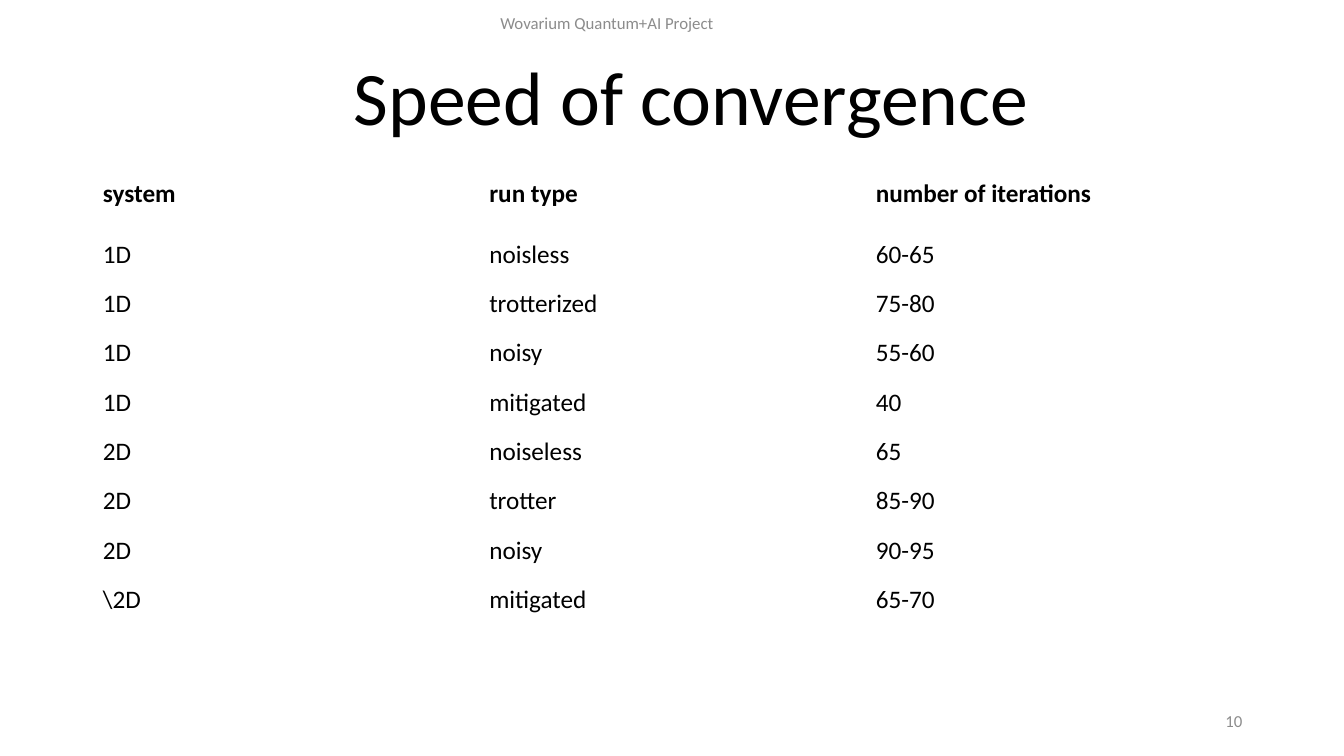
from dataclasses import dataclass

from pptx import Presentation
from pptx.dml.color import RGBColor
from pptx.enum.text import MSO_ANCHOR, PP_ALIGN
from pptx.util import Inches, Pt


@dataclass(frozen=True)
class Theme:
    font: str = "Calibri"
    ink: RGBColor = RGBColor(0x00, 0x00, 0x00)
    muted: RGBColor = RGBColor(0x8C, 0x8C, 0x8C)
    paper: RGBColor = RGBColor(0xFF, 0xFF, 0xFF)
    title_size: int = 54
    table_size: int = 18
    small_size: int = 12


theme = Theme()


def add_run(paragraph, text, size, color, bold=False):
    run = paragraph.add_run()
    run.text = text
    run.font.name = theme.font
    run.font.size = Pt(size)
    run.font.color.rgb = color
    run.font.bold = bold


presentation = Presentation()
presentation.slide_width = Inches(13.33)
presentation.slide_height = Inches(7.5)
slide = presentation.slides.add_slide(presentation.slide_layouts[5])

# Title
title = slide.shapes.title
title.left, title.top = Inches(0.95), Inches(0.52)
title.width, title.height = Inches(11.81), Inches(0.94)
title.text_frame.vertical_anchor = MSO_ANCHOR.BOTTOM
paragraph = title.text_frame.paragraphs[0]
paragraph.alignment = PP_ALIGN.CENTER
paragraph.line_spacing = 0.9
add_run(paragraph, "Speed of convergence", theme.title_size, theme.ink)

# Running header and page number
small_texts = [
    ("Wovarium Quantum+AI Project", 3.77, 0.03, 4.5, PP_ALIGN.CENTER),
    ("10", 9.42, 6.95, 3, PP_ALIGN.RIGHT),
]
for text, left, top, width, alignment in small_texts:
    text_box = slide.shapes.add_textbox(
        Inches(left), Inches(top), Inches(width), Inches(0.4))
    text_box.text_frame.word_wrap = True
    text_box.text_frame.vertical_anchor = MSO_ANCHOR.MIDDLE
    paragraph = text_box.text_frame.paragraphs[0]
    paragraph.alignment = alignment
    add_run(paragraph, text, theme.small_size, theme.muted)

# Table of iterations: a taller header row, then equal rows
rows = [
    ("system", "run type", "number of iterations"),
    ("1D", "noisless", "60-65"),
    ("1D", "trotterized", "75-80"),
    ("1D", "noisy", "55-60"),
    ("1D", "mitigated", "40"),
    ("2D", "noiseless", "65"),
    ("2D", "trotter", "85-90"),
    ("2D", "noisy", "90-95"),
    ("\\2D", "mitigated", "65-70"),
]
header_height, row_height = 0.71, 0.49
table_height = header_height + row_height * (len(rows) - 1)
table = slide.shapes.add_table(
    len(rows), len(rows[0]), Inches(0.92), Inches(1.57),
    Inches(11.5), Inches(table_height)).table
table.first_row = False
table.horz_banding = False

for row_index, values in enumerate(rows):
    is_header = row_index == 0
    table.rows[row_index].height = Inches(header_height if is_header else row_height)
    for column_index, value in enumerate(values):
        cell = table.cell(row_index, column_index)
        cell.fill.solid()
        cell.fill.fore_color.rgb = theme.paper
        cell.vertical_anchor = MSO_ANCHOR.MIDDLE
        add_run(cell.text_frame.paragraphs[0], value,
                theme.table_size, theme.ink, bold=is_header)

presentation.save("out.pptx")
